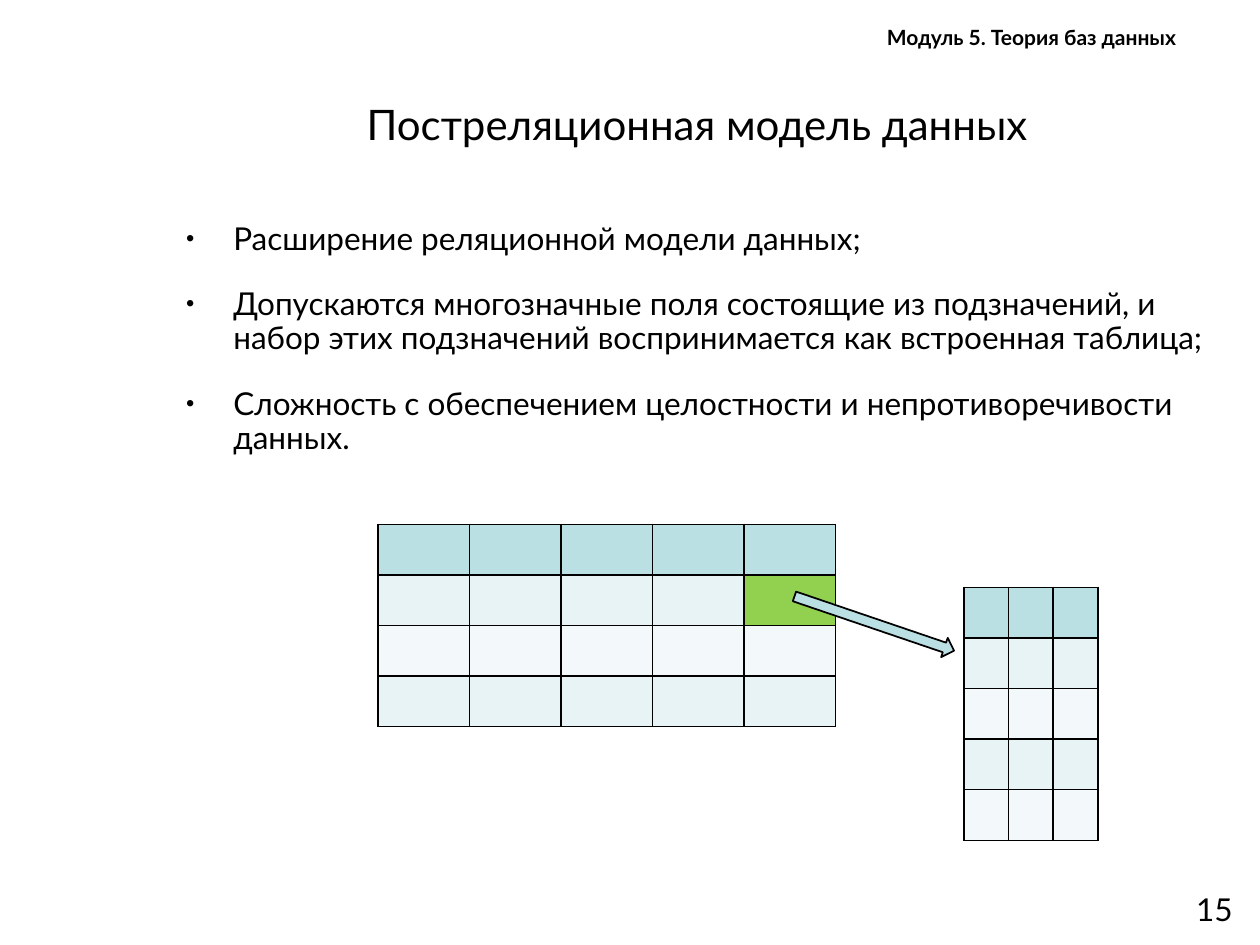
from lxml.etree import SubElement
from pptx import Presentation
from pptx.dml.color import RGBColor
from pptx.enum.shapes import MSO_SHAPE
from pptx.enum.text import MSO_ANCHOR, MSO_AUTO_SIZE, PP_ALIGN
from pptx.oxml.ns import qn
from pptx.util import Cm, Pt

BLACK = RGBColor(0x00, 0x00, 0x00)
HEADER = RGBColor(0xBB, 0xE0, 0xE3)
BAND_DARK = RGBColor(0xE7, 0xF3, 0xF4)
BAND_LIGHT = RGBColor(0xF3, 0xF9, 0xFA)
HIGHLIGHT = RGBColor(0x92, 0xD0, 0x50)

THESES = [
    "Расширение реляционной модели данных;",
    "Допускаются многозначные поля состоящие из подзначений, и набор этих "
    "подзначений воспринимается как встроенная таблица;",
    "Сложность с обеспечением целостности и непротиворечивости данных.",
]


class SlideBuilder:
    font_name = "Lato"
    line_width = Pt(1)
    row_height = Cm(1.02)

    def __init__(self, slide):
        self.slide = slide

    def style(self, paragraph, size, bold=False, align=PP_ALIGN.LEFT):
        paragraph.alignment = align
        for run in paragraph.runs:
            font = run.font
            font.name, font.size, font.bold = self.font_name, Pt(size), bold
            font.color.rgb = BLACK

    def place(self, shape, left, top, width, height):
        shape.left, shape.top = Cm(left), Cm(top)
        shape.width, shape.height = Cm(width), Cm(height)

    def title(self, text, *box):
        title = self.slide.shapes.title
        self.place(title, *box)
        frame = title.text_frame
        frame.text = text
        frame.vertical_anchor = MSO_ANCHOR.MIDDLE
        frame.auto_size = MSO_AUTO_SIZE.NONE
        self.style(frame.paragraphs[0], 24, align=PP_ALIGN.CENTER)

    def bullets(self, items, *box):
        body = self.slide.placeholders[1]
        self.place(body, *box)
        frame = body.text_frame
        frame.text = "\n".join(items)
        frame.vertical_anchor = MSO_ANCHOR.TOP
        frame.auto_size = MSO_AUTO_SIZE.NONE
        for index, paragraph in enumerate(frame.paragraphs):
            paragraph.line_spacing = 0.9
            paragraph.space_before = Pt(18 if index else 0)
            properties = paragraph._p.get_or_add_pPr()
            properties.set("marL", str(Cm(0.95)))
            properties.set("indent", str(-Cm(0.95)))
            SubElement(properties, qn("a:buSzPct"), val="75000")
            SubElement(properties, qn("a:buChar"), char="•")
            self.style(paragraph, 18)

    def label(self, text, *box, size, bold=False, align=PP_ALIGN.LEFT):
        frame = self.slide.shapes.add_textbox(*map(Cm, box)).text_frame
        frame.word_wrap = True
        frame.text = text
        self.style(frame.paragraphs[0], size, bold, align)

    def border(self, cell):
        properties = cell._tc.get_or_add_tcPr()
        for side in ("a:lnL", "a:lnR", "a:lnT", "a:lnB"):
            line = SubElement(properties, qn(side), w=str(self.line_width))
            fill = SubElement(line, qn("a:solidFill"))
            SubElement(fill, qn("a:srgbClr"), val=str(BLACK))

    def grid(self, left, top, rows, columns, column_width):
        """Draw an empty banded table and return it."""
        width = Cm(column_width)
        table = self.slide.shapes.add_table(
            rows, columns, Cm(left), Cm(top),
            width * columns, self.row_height * rows).table
        for column in table.columns:
            column.width = width
        for index, row in enumerate(table.rows):
            band = BAND_DARK if index % 2 else BAND_LIGHT
            for cell in row.cells:
                self.border(cell)
                cell.fill.solid()
                cell.fill.fore_color.rgb = band if index else HEADER
        return table

    def arrow(self, *box, rotation):
        arrow = self.slide.shapes.add_shape(MSO_SHAPE.DOWN_ARROW, *map(Cm, box))
        arrow.rotation = rotation
        arrow.shadow.inherit = False
        arrow.fill.solid()
        arrow.fill.fore_color.rgb = HEADER
        arrow.line.color.rgb = BLACK
        arrow.line.width = self.line_width


def main():
    presentation = Presentation()
    presentation.slide_width, presentation.slide_height = Cm(25.4), Cm(19.05)
    builder = SlideBuilder(
        presentation.slides.add_slide(presentation.slide_layouts[1]))

    builder.label("15", 19.18, 17.81, 5.92, 1.32, size=18, align=PP_ALIGN.RIGHT)
    builder.title("Постреляционная модель данных", 4.22, 1.52, 19.66, 1.93)
    builder.bullets(THESES, 3.5, 4.37, 21.9, 12.55)
    builder.label("Модуль 5. Теория баз данных", 17.63, 0.38, 7.42, 0.76,
                  size=12, bold=True)

    main_table = builder.grid(7.62, 10.57, rows=4, columns=5, column_width=1.845)
    multivalued_field = main_table.cell(1, 4)
    multivalued_field.fill.fore_color.rgb = HIGHLIGHT
    builder.grid(19.43, 11.84, rows=5, columns=3, column_width=0.9)
    builder.arrow(17.42, 10.87, 0.41, 3.4, rotation=288.8)

    presentation.save("out.pptx")


if __name__ == "__main__":
    main()
